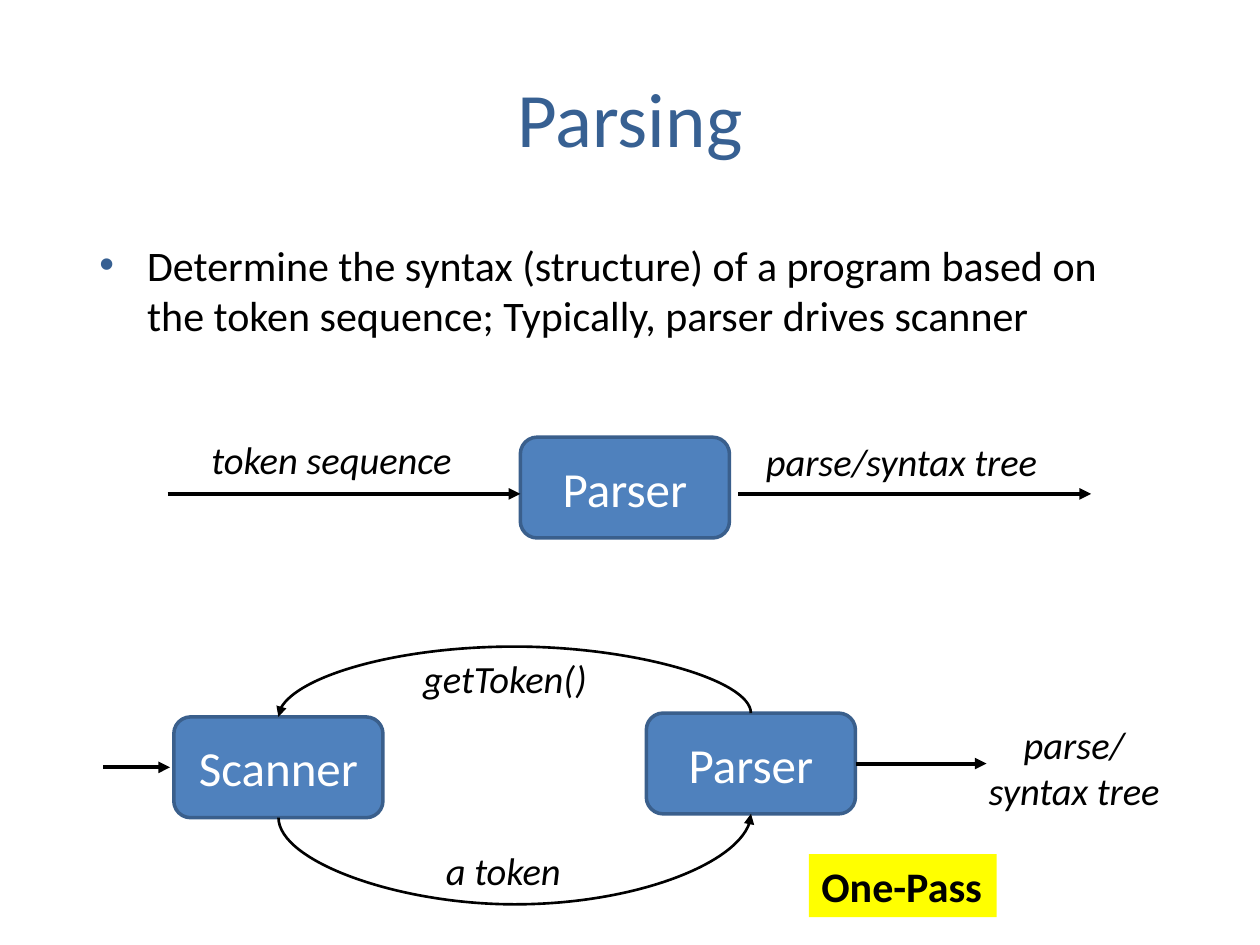
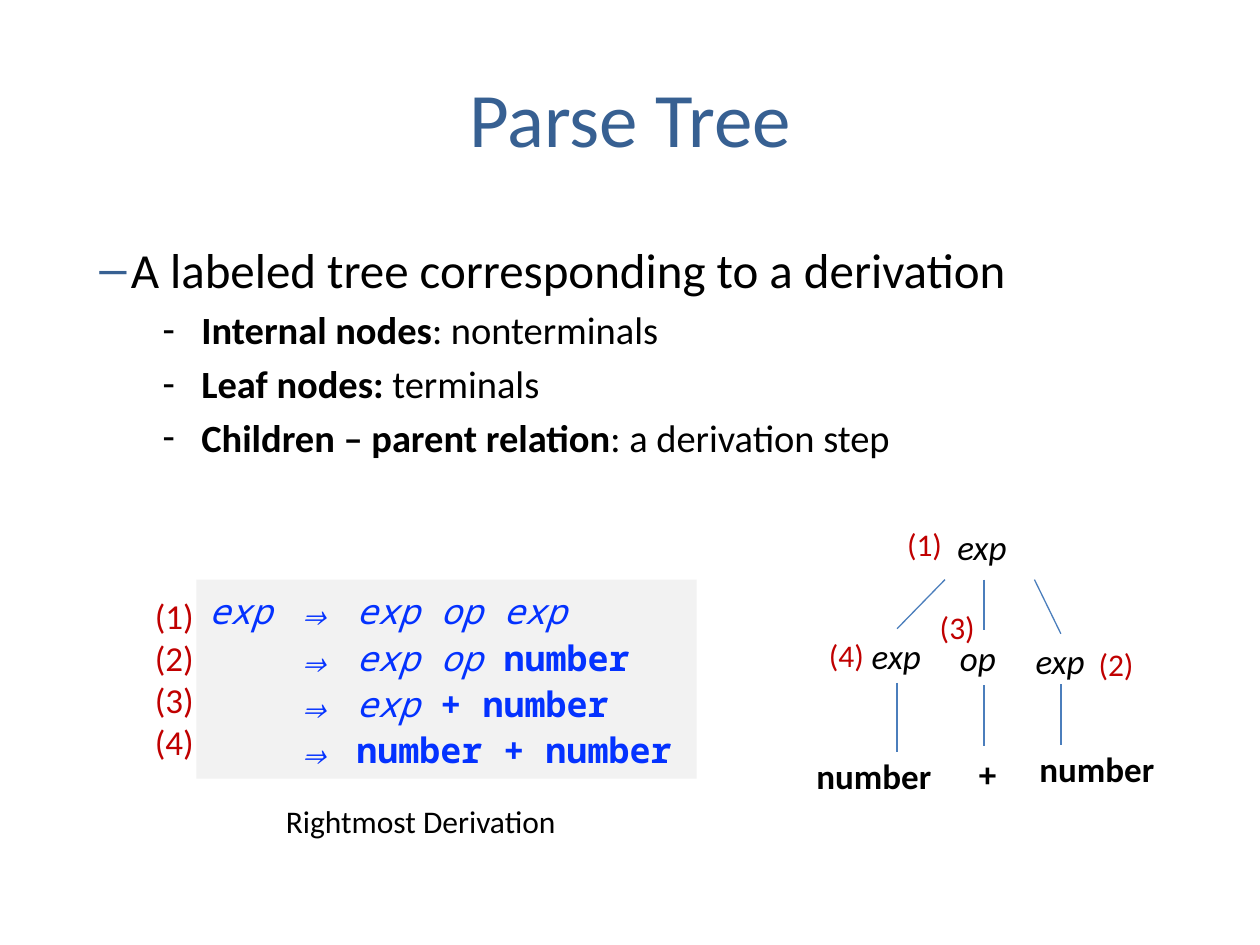
from dataclasses import dataclass
from lxml.etree import SubElement
from pptx import Presentation
from pptx.dml.color import RGBColor
from pptx.enum.shapes import MSO_CONNECTOR as Link, MSO_SHAPE as Shape
from pptx.enum.text import MSO_ANCHOR as Anchor, MSO_AUTO_SIZE as Fit, PP_ALIGN as Align
from pptx.oxml.ns import qn
from pptx.util import Inches, Pt


@dataclass(frozen=True)
class Theme:
    sans: str = "Calibri"
    mono: str = "Noto Sans Mono"
    heading: str = "376092"
    ink: str = "000000"
    paper: str = "FFFFFF"
    box: str = "4F81BD"
    box_edge: str = "3A5F8C"
    branch: str = "4B7EBC"
    step: str = "C00000"
    code: str = "0432FF"
    code_back: str = "F2F2F2"
    marker: str = "FFFF00"
    title_size: int = 44
    large: int = 28
    body: int = 24
    label: int = 22
    node: int = 20
    small: int = 18


T = Theme()
WIDTH, HEIGHT = 10, 7.5
TITLE_AREA = (0.5, 0.3, 9, 1.25)
BODY_LEFT, BODY_TOP, BODY_WIDTH = 0.69, 1.85, 8.63

# Content: a paragraph is a list of (text, style) runs; style holds "b" and/or "i"
PARSING = {
    "title": "Parsing",
    "point": "Determine the syntax (structure) of a program based on the token sequence; "
             "Typically, parser drives scanner",
    "box_size": (1.66, 0.8),
    "boxes": [("Parser", 4.13, 3.47), ("Parser", 5.13, 5.66), ("Scanner", 1.38, 5.69)],
    "arrows": [(1.33, 4.13, 3.92), (5.86, 8.66, 3.92), (6.79, 7.83, 6.06), (0.82, 1.35, 6.09)],
    "arcs": [((5.96, 5.66), (2.21, 5.69), 5.13), ((2.21, 6.49), (5.96, 6.46), 7.18)],
    "labels": [
        (["token sequence"], (1.58, 3.41, 2.2, 0.47)),
        (["parse/syntax tree"], (5.98, 3.43, 2.37, 0.47)),
        (["getToken()"], (3.26, 5.15, 1.51, 0.47)),
        (["a token"], (3.44, 6.67, 1.15, 0.47)),
        (["parse/", "syntax tree"], (7.74, 5.67, 1.57, 0.84)),
    ],
    "verdict": ("One-Pass", (6.42, 6.78, 1.49, 0.5)),
}

PARSE_TREE = {
    "title": "Parse Tree",
    "point": "A labeled tree corresponding to a derivation",
    "details": [
        [("Internal nodes", "b"), (": nonterminals", "")],
        [("Leaf nodes: ", "b"), ("terminals", "")],
        [("Children – parent relation", "b"), (": a derivation step", "")],
    ],
    "derivation": [
        [("exp\t⇒\texp op exp", "i")],
        [("\t⇒\texp op ", "i"), ("number", "b")],
        [("\t⇒\texp", "i"), (" + number", "b")],
        [("\t⇒\t", "i"), ("number + number", "b")],
    ],
    "steps": ["(1)", "(2)", "(3)", "(4)"],
    "caption": "Rightmost Derivation",
    # text, style, left, top, width
    "nodes": [
        ("exp", "i", 7.5, 4.12, 0.59),
        ("exp", "i", 6.82, 4.99, 0.59),
        ("op", "i", 7.52, 5, 0.59),
        ("exp", "i", 8.12, 5.03, 0.59),
        ("number", "b", 6.38, 5.94, 1.12),
        ("+", "b", 7.67, 5.92, 0.34),
        ("number", "b", 8.15, 5.88, 1.12),
    ],
    "node_steps": [("(1)", 7.1, 4.12), ("(4)", 6.48, 5), ("(3)", 7.36, 4.78), ("(2)", 8.62, 5.07)],
    # per child: start of the branch, its column, then the y of joint, leaf start and leaf end
    "branches": [
        (7.5, 7.12, 4.99, 5.42, 5.97),
        (7.81, 7.81, 5, 5.44, 5.92),
        (8.21, 8.42, 5.03, 5.43, 5.91),
    ],
    "branch_top": 4.6,
}


def rgb(colour):
    return RGBColor.from_string(colour)


def inches(values):
    return [Inches(v) for v in values]


# Text
def write(frame, paragraphs, size, colour=T.ink, font=T.sans, align=Align.LEFT):
    """Fill a frame with paragraphs; each is a string or a list of (text, style) runs."""
    for i, runs in enumerate(paragraphs):
        paragraph = frame.paragraphs[0] if i == 0 else frame.add_paragraph()
        paragraph.alignment = align
        look = paragraph.font
        look.name, look.size, look.color.rgb = font, Pt(size), rgb(colour)
        for text, style in [(runs, "")] if isinstance(runs, str) else runs:
            run = paragraph.add_run()
            run.text = text
            if style:
                run.font.bold, run.font.italic = "b" in style, "i" in style
    return frame.paragraphs


def add_text(slide, area, paragraphs, size, wrap=False, grow=True, fill=None, anchor=Anchor.TOP, **look):
    box = slide.shapes.add_textbox(*inches(area))
    frame = box.text_frame
    frame.word_wrap = wrap
    frame.auto_size = Fit.SHAPE_TO_FIT_TEXT if grow else Fit.NONE
    frame.vertical_anchor = anchor
    if fill:
        box.fill.solid()
        box.fill.fore_color.rgb = rgb(fill)
    return write(frame, paragraphs, size, **look)


def add_bullet(paragraph, mark, margin, indent, space, colour=T.ink):
    paragraph.space_before = Pt(space)
    props = paragraph._p.get_or_add_pPr()
    props.set("marL", str(Inches(margin)))
    props.set("indent", str(Inches(indent)))
    tint = props.makeelement(qn("a:buClr"), {})
    SubElement(tint, qn("a:srgbClr"), val=colour)
    face = props.makeelement(qn("a:buFont"), {"typeface": "Arial"})
    char = props.makeelement(qn("a:buChar"), {"char": mark})
    at = props.index(props.find(qn("a:defRPr")))
    props[at:at] = [tint, face, char]


def add_tabs(paragraph, stops):
    props = paragraph._p.get_or_add_pPr()
    tabs = props.makeelement(qn("a:tabLst"), {})
    for stop in stops:
        SubElement(tabs, qn("a:tab"), pos=str(Inches(stop)), algn="l")
    props.find(qn("a:defRPr")).addprevious(tabs)


# Lines
def add_line(slide, start, end, colour=T.ink, width=2.25, arrow=True, kind=Link.STRAIGHT):
    link = slide.shapes.add_connector(kind, *inches(start + end))
    link.line.color.rgb, link.line.width = rgb(colour), Pt(width)
    if arrow:
        SubElement(link.line._get_or_add_ln(), qn("a:tailEnd"), type="triangle")
    SubElement(link._element.spPr, qn("a:effectLst"))
    return link


def add_arc(slide, start, end, apex):
    """Curved arrow that leaves vertically and bulges to the height apex."""
    (x0, y0), (x1, y1) = start, end
    rise, span = abs(y1 - y0), abs(x1 - x0)
    arc = add_line(slide, start, end, width=1.5, kind=Link.CURVE)
    arc.left, arc.top = inches(((x0 + x1 - rise) / 2, (y0 + y1 - span) / 2))
    arc.width, arc.height = inches((rise, span))
    props = arc._element.spPr
    frame = props.find(qn("a:xfrm"))
    for key, value in (("rot", (90 if x1 > x0 else 270) * 60000), ("flipH", 1), ("flipV", 1)):
        frame.set(key, str(value))
    guides = props.find(qn("a:prstGeom")).find(qn("a:avLst"))
    bulge = round(-abs(apex - y0) / rise * 100000)
    SubElement(guides, qn("a:gd"), name="adj1", fmla=f"val {bulge}")


def add_box(slide, text, left, top, size):
    box = slide.shapes.add_shape(Shape.ROUNDED_RECTANGLE, *inches((left, top, *size)))
    box.shadow.inherit = False
    box.fill.solid()
    box.fill.fore_color.rgb = rgb(T.box)
    box.line.color.rgb, box.line.width = rgb(T.box_edge), Pt(2)
    box.text_frame.vertical_anchor = Anchor.MIDDLE
    write(box.text_frame, [text], T.large, T.paper, align=Align.CENTER)


# Slides
def start_slide(deck, title):
    slide = deck.slides.add_slide(deck.slide_layouts[6])
    add_text(slide, TITLE_AREA, [title], T.title_size, wrap=True, grow=False,
             anchor=Anchor.MIDDLE, colour=T.heading, align=Align.CENTER)
    return slide


def build_parsing(deck, c):
    slide = start_slide(deck, c["title"])
    point, = add_text(slide, (BODY_LEFT, BODY_TOP, BODY_WIDTH, 0.9), [c["point"]], T.body,
                      wrap=True, grow=False)
    add_bullet(point, "•", 0.38, -0.38, 0.2 * T.body, T.heading)
    for text, left, top in c["boxes"]:
        add_box(slide, text, left, top, c["box_size"])
    for x0, x1, y in c["arrows"]:
        add_line(slide, (x0, y), (x1, y))
    for start, end, apex in c["arcs"]:
        add_arc(slide, start, end, apex)
    for lines, area in c["labels"]:
        add_text(slide, area, [[(line, "i")] for line in lines], T.label,
                 align=Align.CENTER if len(lines) > 1 else Align.LEFT)
    verdict, area = c["verdict"]
    add_text(slide, area, [[(verdict, "b")]], T.body, fill=T.marker)


def build_parse_tree(deck, c):
    slide = start_slide(deck, c["title"])
    point, *details = add_text(slide, (BODY_LEFT, BODY_TOP, BODY_WIDTH, 1.73),
                               [c["point"], *c["details"]], T.label, wrap=True, grow=False)
    point.font.size = Pt(T.large)
    add_bullet(point, "–", 0.25, -0.31, 10, T.heading)
    for detail in details:
        add_bullet(detail, "-", 0.81, -0.31, 0.2 * T.label)

    # Derivation with its step numbers
    for line in add_text(slide, (1.56, 4.6, 3.97, 1.58), c["derivation"], T.node, wrap=True,
                         fill=T.code_back, colour=T.code, font=T.mono):
        line.line_spacing = 1.1
        add_tabs(line, (0.67, 1.17))
    add_text(slide, (1.13, 4.67, 0.52, 1.45), c["steps"], T.node, colour=T.step)
    add_text(slide, (2.17, 6.32, 2.37, 0.4), [c["caption"]], T.small)

    # Tree
    for x_top, x, joint, leaf_top, leaf_end in c["branches"]:
        for start, end in (((x_top, c["branch_top"]), (x, joint)), ((x, leaf_top), (x, leaf_end))):
            add_line(slide, start, end, T.branch, 0.75, arrow=False)
    for text, style, left, top, width in c["nodes"]:
        add_text(slide, (left, top, width, 0.44), [[(text, style)]], T.node, wrap=text == "op")
    for step, left, top in c["node_steps"]:
        add_text(slide, (left, top, 0.48, 0.4), [step], T.small, colour=T.step)


def main():
    deck = Presentation()
    deck.slide_width, deck.slide_height = inches((WIDTH, HEIGHT))
    build_parsing(deck, PARSING)
    build_parse_tree(deck, PARSE_TREE)
    deck.save("out.pptx")


if __name__ == "__main__":
    main()
